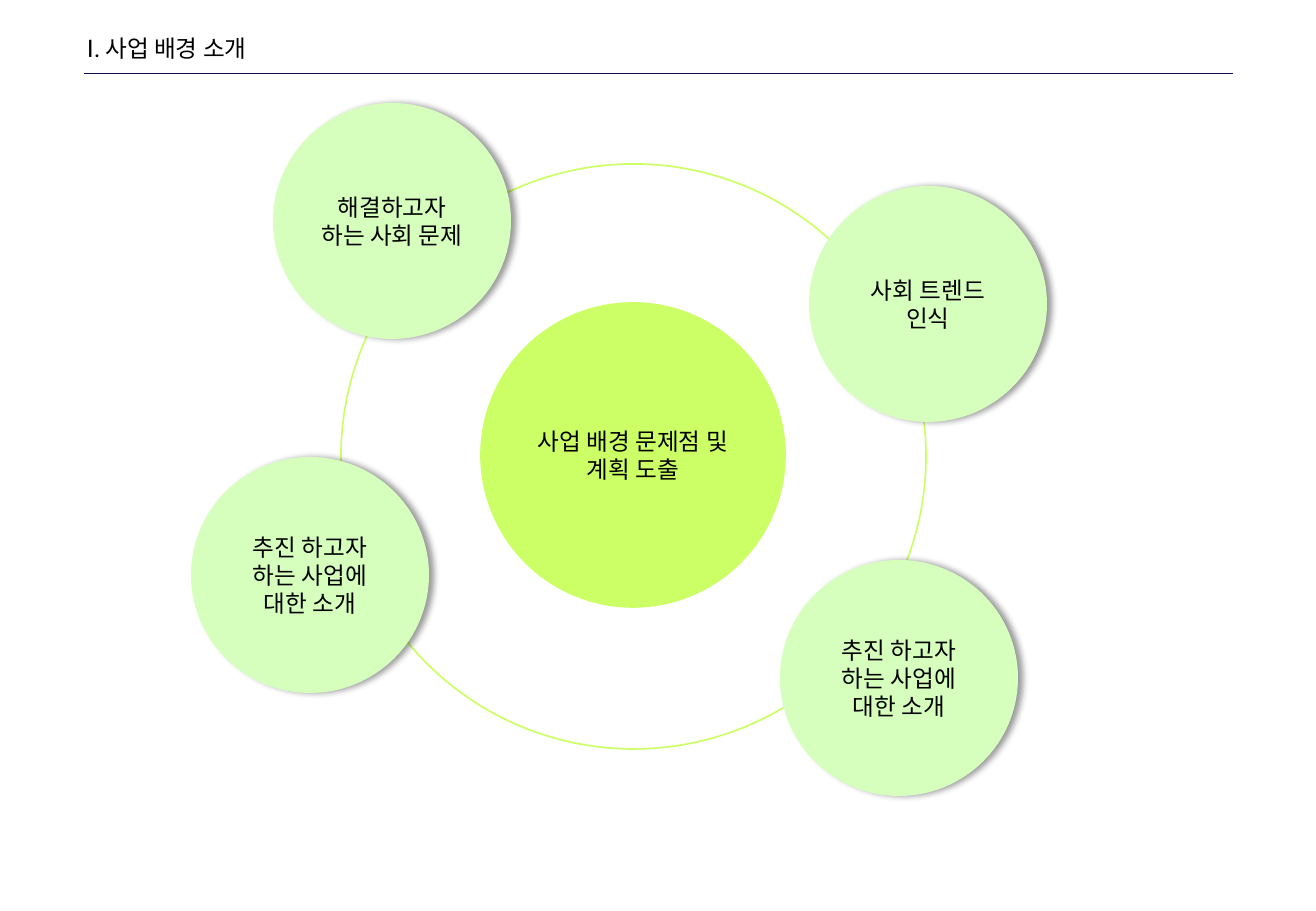
from lxml import etree
from pptx import Presentation
from pptx.dml.color import RGBColor
from pptx.enum.shapes import MSO_CONNECTOR, MSO_SHAPE
from pptx.enum.text import MSO_ANCHOR, PP_ALIGN
from pptx.oxml import parse_xml
from pptx.oxml.ns import nsdecls, qn
from pptx.util import Pt

PX = 914400 / 121.5
OVAL = MSO_SHAPE.OVAL
STRAIGHT = MSO_CONNECTOR.STRAIGHT
MIDDLE = MSO_ANCHOR.MIDDLE
CENTER = PP_ALIGN.CENTER
KOREAN = "Noto Sans CJK KR"
COLORS = {"rule": "091348", "core": "CCFF66", "topic": "D6FFBD", "text": "000000"}
SHADOW = f"""<a:effectLst {nsdecls("a")}>
<a:outerShdw blurRad="{Pt(4)}" dist="{Pt(3)}" dir="0" algn="l" rotWithShape="0">
<a:srgbClr val="{COLORS["text"]}"><a:alpha val="40000"/></a:srgbClr>
</a:outerShdw></a:effectLst>"""


def emu(*lengths):
    return [round(length * PX) for length in lengths]


def write(frame, words, latin):
    frame.word_wrap = True
    paragraph = frame.paragraphs[0]
    paragraph.text = words
    paragraph.font.size = Pt(14)
    paragraph.font.color.rgb = RGBColor.from_string(COLORS["text"])
    paragraph.font.name = latin
    latin_tag = paragraph._p.pPr.find(qn("a:defRPr")).find(qn("a:latin"))
    east_asian = etree.Element(qn("a:ea"), typeface=KOREAN)
    latin_tag.addnext(east_asian)
    return paragraph


prs = Presentation()
prs.slide_width, prs.slide_height = emu(1316, 911)
slide = prs.slides.add_slide(prs.slide_layouts[6])
shapes = slide.shapes

heading = shapes.add_textbox(*emu(87, 34, 446, 29)).text_frame
heading.margin_left = heading.margin_right = 0
heading.margin_top = heading.margin_bottom = 0
write(heading, "Ⅰ. 사업 배경 소개", "Calibri")

rule = shapes.add_connector(STRAIGHT, *emu(84, 73, 1233, 73))
rule.line.color.rgb = RGBColor.from_string(COLORS["rule"])
rule.line.width = Pt(0.25)
etree.SubElement(rule._element.spPr, qn("a:effectLst"))

circles = [
    (481, 303, 304, 304, "core", "사업 배경 문제점 및 계획 도출"),
    (341, 164, 585, 585, None, ""),
    (273, 103, 238, 236, "topic", "해결하고자 하는 사회 문제"),
    (809, 186, 238, 236, "topic", "사회 트렌드 인식"),
    (780, 560, 238, 236, "topic", "추진 하고자 하는 사업에 대한 소개"),
    (191, 457, 238, 236, "topic", "추진 하고자 하는 사업에 대한 소개"),
]
for left, top, width, height, role, words in circles:
    circle = shapes.add_shape(OVAL, *emu(left, top, width, height))
    circle.shadow.inherit = False
    if role:
        circle.fill.solid()
        circle.fill.fore_color.rgb = RGBColor.from_string(COLORS[role])
    else:
        circle.fill.background()
    if role == "topic":
        circle.line.fill.background()
        properties = circle._element.spPr
        properties.replace(properties.find(qn("a:effectLst")), parse_xml(SHADOW))
    else:
        circle.line.color.rgb = RGBColor.from_string(COLORS["core"])
        circle.line.width = Pt(1)
    if words:
        circle.text_frame.vertical_anchor = MIDDLE
        write(circle.text_frame, words, KOREAN).alignment = CENTER

prs.save("out.pptx")
